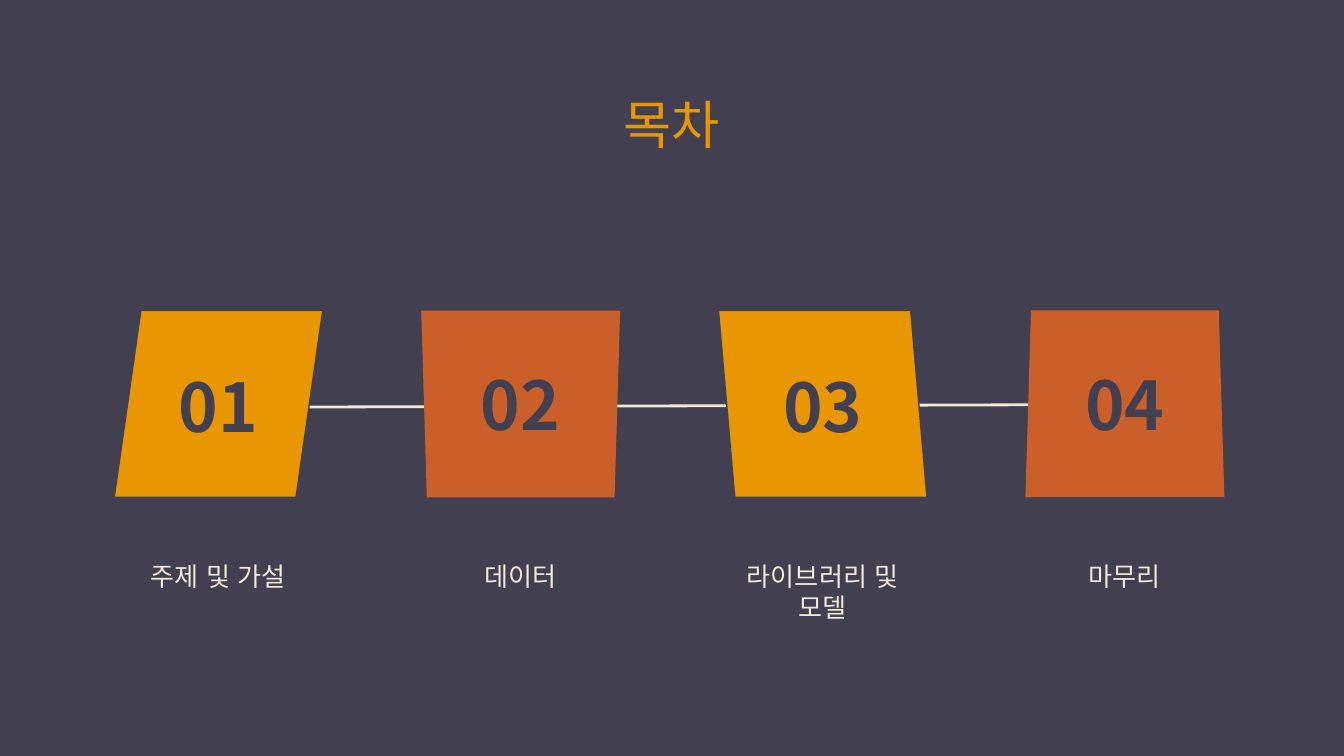
from lxml.etree import SubElement
from pptx import Presentation
from pptx.dml.color import RGBColor
from pptx.enum.lang import MSO_LANGUAGE_ID
from pptx.enum.shapes import MSO_CONNECTOR, MSO_SHAPE
from pptx.enum.text import MSO_ANCHOR, PP_ALIGN
from pptx.oxml.ns import qn
from pptx.util import Cm, Pt

NAVY = RGBColor(0x41, 0x3F, 0x50)
AMBER = RGBColor(0xE8, 0x97, 0x02)
RUST = RGBColor(0xCA, 0x5F, 0x29)
CREAM = RGBColor(0xF2, 0xE9, 0xD8)
FONT = "Noto Sans CJK KR"

CHAPTERS = ["주제 및 가설", "데이터", "라이브러리 및 모델", "마무리"]
COLUMN_LEFT, COLUMN_TOP = 1.96, 5.87
COLUMN_WIDTH, COLUMN_HEIGHT = 4.34, 6.0
COLUMN_PITCH = 5.71
CARD_HEIGHT = 3.53
LABEL_TOP, LABEL_HEIGHT = 4.47, 1.52


def place(shape, left, top, width, height):
    shape.left, shape.top = Cm(left), Cm(top)
    shape.width, shape.height = Cm(width), Cm(height)


def write_text(shape, text, size, color, bold=False, anchor=MSO_ANCHOR.TOP):
    frame = shape.text_frame
    frame.text = text
    frame.word_wrap = True
    frame.vertical_anchor = anchor
    frame.margin_left = frame.margin_right = Cm(0.25)
    frame.margin_top = frame.margin_bottom = Cm(0.25)
    para = frame.paragraphs[0]
    para.alignment = PP_ALIGN.CENTER
    span = para.runs[0]
    span.font.name = FONT
    span.font.size = Pt(size)
    span.font.bold = bold
    span.font.color.rgb = color
    span.font.language_id = MSO_LANGUAGE_ID.KOREAN
    SubElement(span.font._element, qn("a:ea"), typeface=FONT)


def add_title(page, left, top, width, height):
    title = page.shapes.title
    place(title, left, top, width, height)
    write_text(title, "목차", 28, AMBER)


def add_timeline(page, left, top, right, bottom):
    line = page.shapes.add_connector(
        MSO_CONNECTOR.STRAIGHT, Cm(left), Cm(top), Cm(right), Cm(bottom))
    line.line.color.rgb = CREAM
    line.line.width = Pt(1.5)
    SubElement(line._element.spPr, qn("a:effectLst"))


def add_card(page, index, center, top):
    slanted = index % 2 == 0
    kind = MSO_SHAPE.PARALLELOGRAM if slanted else MSO_SHAPE.TRAPEZOID
    width = 3.94 if slanted else 3.76
    card = page.shapes.add_shape(
        kind, Cm(center - width / 2), Cm(top), Cm(width), Cm(CARD_HEIGHT))
    card.shadow.inherit = False
    card.fill.solid()
    card.fill.fore_color.rgb = AMBER if slanted else RUST
    if slanted:
        card.line.color.rgb = NAVY
        card.line.width = Pt(0.75)
    else:
        card.line.fill.background()
    card.adjustments[0] = [0.143, 0.03, 0.087, 0.03][index]
    if index == 1:
        card.rotation = 180
    if index == 2:
        card._element.spPr.xfrm.set("flipH", "1")


def add_chapter(page, index, label, left, top, width):
    center = left + width / 2
    add_card(page, index, center, top)

    side = 2.7
    nudge = 0.04 if index % 2 == 0 else -0.01
    number = page.shapes.add_textbox(
        Cm(center - side / 2), Cm(top + (CARD_HEIGHT - side) / 2 + nudge),
        Cm(side), Cm(side))
    write_text(number, f"{index + 1:02d}", 36, NAVY, True, MSO_ANCHOR.MIDDLE)

    caption = page.shapes.add_textbox(
        Cm(left), Cm(top + LABEL_TOP), Cm(width), Cm(LABEL_HEIGHT))
    write_text(caption, label, 14, CREAM)


def main():
    deck = Presentation()
    deck.slide_width, deck.slide_height = Cm(25.4), Cm(14.29)
    page = deck.slides.add_slide(deck.slide_layouts[5])
    page.background.fill.solid()
    page.background.fill.fore_color.rgb = NAVY

    add_timeline(page, 3.78, 7.7, 23.06, 7.64)
    add_title(page, 1.98, 1.5, 21.44, 1.73)
    for index, label in enumerate(CHAPTERS):
        add_chapter(page, index, label, COLUMN_LEFT + index * COLUMN_PITCH,
                    COLUMN_TOP, COLUMN_WIDTH)
    deck.save("out.pptx")


if __name__ == "__main__":
    main()
